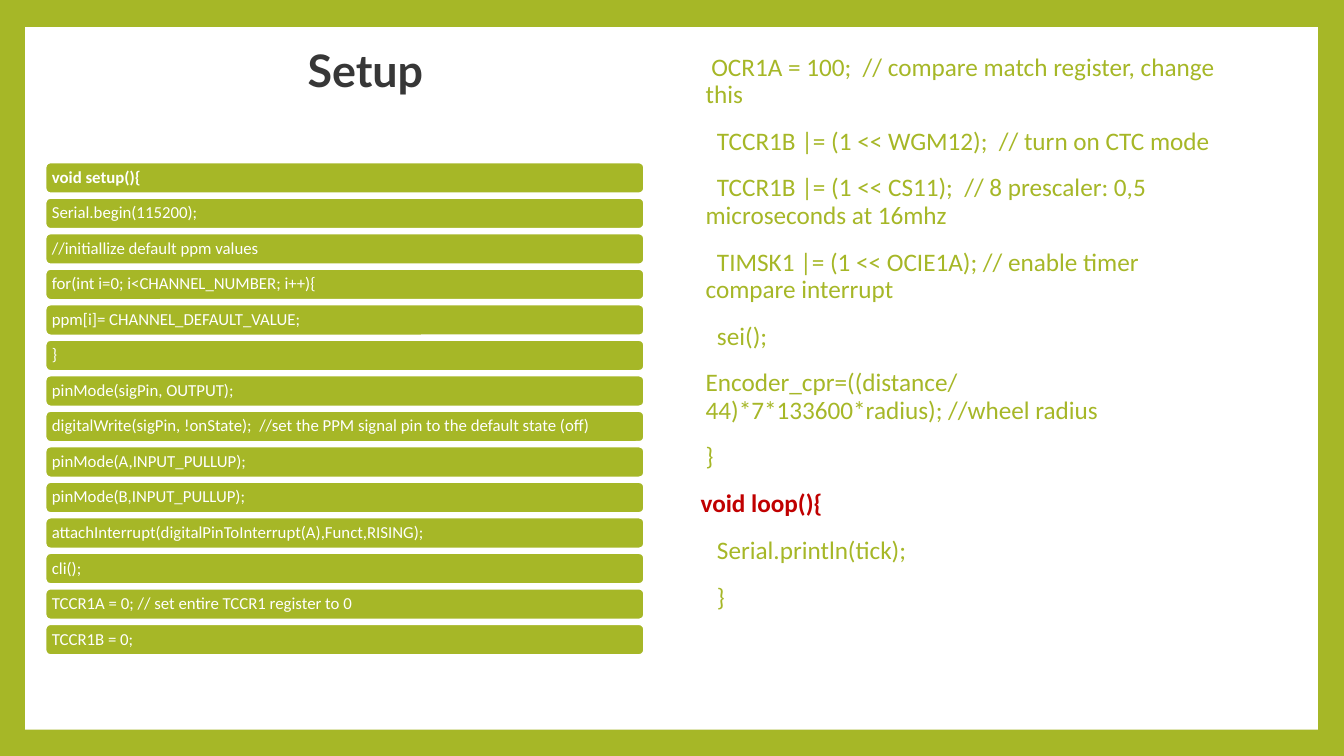
from dataclasses import dataclass

from pptx import Presentation
from pptx.dml.color import RGBColor
from pptx.enum.shapes import MSO_SHAPE
from pptx.enum.text import MSO_ANCHOR, PP_ALIGN
from pptx.util import Inches, Pt

GREEN, WHITE, DARK, RED = "A6B727", "FFFFFF", "373737", "C00000"


@dataclass
class Line:
    """One line of code and its look."""
    text: str
    color: str = WHITE
    bold: bool = False
    indent: float = 0


SETUP = [Line("void setup(){", bold=True)] + [Line(text) for text in (
    "Serial.begin(115200);",
    "//initiallize default ppm values",
    "for(int i=0; i<CHANNEL_NUMBER; i++){",
    "ppm[i]= CHANNEL_DEFAULT_VALUE;",
    "}",
    "pinMode(sigPin, OUTPUT);",
    "digitalWrite(sigPin, !onState);  //set the PPM signal pin to the default state (off)",
    "pinMode(A,INPUT_PULLUP);",
    "pinMode(B,INPUT_PULLUP);",
    "attachInterrupt(digitalPinToInterrupt(A),Funct,RISING);",
    "cli();",
    "TCCR1A = 0; // set entire TCCR1 register to 0",
    "TCCR1B = 0;",
)]

TIMER = [Line(text, GREEN, indent=0.05) for text in (
    " OCR1A = 100;  // compare match register, change this",
    "  TCCR1B |= (1 << WGM12);  // turn on CTC mode",
    "  TCCR1B |= (1 << CS11);  // 8 prescaler: 0,5 microseconds at 16mhz",
    "  TIMSK1 |= (1 << OCIE1A); // enable timer compare interrupt",
    "  sei();",
    "Encoder_cpr=((distance/44)*7*133600*radius); //wheel radius",
    "}",
)]
LOOP = [Line("void loop(){", RED, True)] + [
    Line(text, GREEN, indent=0.05) for text in ("  Serial.println(tick);", "  }")]


def paint(target, color: str) -> None:
    """Give a fill one solid colour."""
    target.solid()
    target.fore_color.rgb = RGBColor.from_string(color)


def write(para, line: Line, size: float, font: str = "Calibri") -> None:
    """Set the text of a paragraph and format its run."""
    para.text = line.text
    para.alignment = PP_ALIGN.LEFT
    para.line_spacing = 0.9
    if line.indent:
        para._p.get_or_add_pPr().set("marL", str(Inches(line.indent)))
    for run in para.runs:
        run.font.name, run.font.size, run.font.bold = font, Pt(size), line.bold
        paint(run.font.fill, line.color)


def block(slide, kind, left: float, top: float, width: float, height: float, color: str):
    """Add a flat filled shape."""
    shape = slide.shapes.add_shape(
        kind, Inches(left), Inches(top), Inches(width), Inches(height))
    shape.shadow.inherit = False
    paint(shape.fill, color)
    return shape


def head(slide) -> None:
    """Place the title over the white panel."""
    title = slide.shapes.title
    title.left, title.top = Inches(2.95), Inches(0.42)
    title.width, title.height = Inches(2.24), Inches(0.61)
    frame = title.text_frame
    frame.vertical_anchor = MSO_ANCHOR.MIDDLE
    write(frame.paragraphs[0], Line("Setup", DARK, True), 32, "Lato")
    panel = block(slide, MSO_SHAPE.RECTANGLE, 0.25, 0.27, 12.82, 6.97, WHITE)
    panel.line.fill.background()
    title.element.addprevious(panel.element)


def bars(slide, lines: list[Line]) -> None:
    """Stack one rounded bar per line of code."""
    first, last = 1.61, 6.19
    step = (last - first) / (len(lines) - 1)
    for row, line in enumerate(lines):
        bar = block(slide, MSO_SHAPE.ROUNDED_RECTANGLE,
                    0.45, first + row * step, 5.94, 0.31, GREEN)
        paint(bar.line.fill, WHITE)
        bar.line.width = Pt(1.5)
        frame = bar.text_frame
        frame.margin_left = frame.margin_right = Inches(0.05)
        frame.margin_top = frame.margin_bottom = Inches(0.05)
        frame.vertical_anchor = MSO_ANCHOR.MIDDLE
        write(frame.paragraphs[0], line, 12)


def code(slide, lines: list[Line]) -> None:
    """Write the right column of code."""
    box = slide.shapes.add_textbox(Inches(6.85), Inches(0.49), Inches(5.38), Inches(6.47))
    frame = box.text_frame
    frame.word_wrap = True
    for row, line in enumerate(lines):
        para = frame.add_paragraph() if row else frame.paragraphs[0]
        write(para, line, 18)
        if row:
            para.space_before = Pt(14)


def main() -> None:
    """Build and save the slide."""
    deck = Presentation()
    deck.slide_width, deck.slide_height = Inches(13.33), Inches(7.5)
    slide = deck.slides.add_slide(deck.slide_layouts[5])
    paint(slide.background.fill, GREEN)
    head(slide)
    bars(slide, SETUP)
    code(slide, TIMER + LOOP)
    deck.save("out.pptx")


if __name__ == "__main__":
    main()
